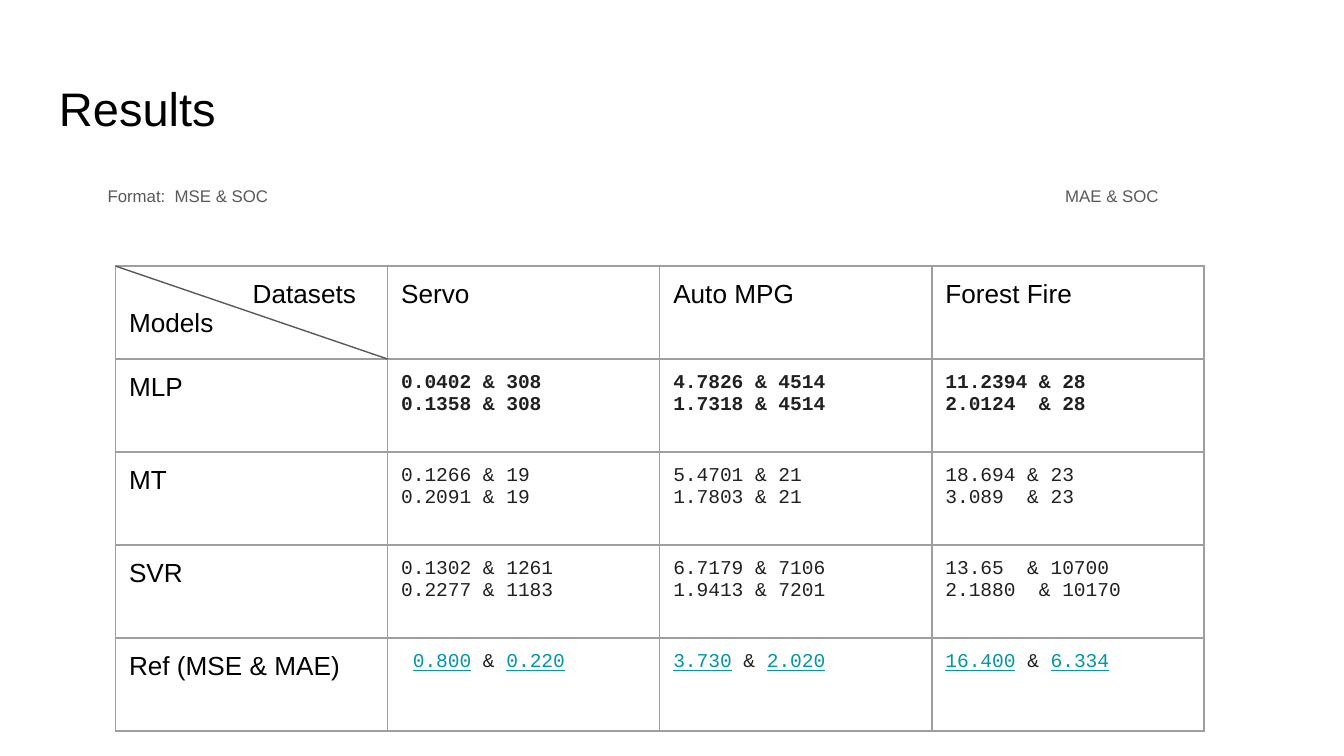
from dataclasses import dataclass
from lxml import etree
from pptx import Presentation
from pptx.dml.color import RGBColor
from pptx.enum.shapes import MSO_CONNECTOR
from pptx.enum.text import MSO_ANCHOR
from pptx.oxml.ns import qn
from pptx.util import Inches, Pt

LINE = MSO_CONNECTOR.STRAIGHT
MIDDLE = MSO_ANCHOR.MIDDLE


@dataclass(frozen=True)
class Theme:
    sans: str = "Arial"
    mono: str = "Courier New"
    black: str = "000000"
    gray: str = "595959"
    ink: str = "212121"
    link: str = "0097A7"
    grid: str = "9E9E9E"
    title: float = 25.2
    head: float = 14
    data: float = 10.5
    note: float = 9
    rule: float = 0.75
    pad: float = 0.1


THEME = Theme()
HEADS = ["Servo", "Auto MPG", "Forest Fire"]
ROWS = [
    ("MLP", ["0.0402 & 308\n0.1358 & 308", "4.7826 & 4514\n1.7318 & 4514",
             "11.2394 & 28\n2.0124  & 28"]),
    ("MT", ["0.1266 & 19\n0.2091 & 19", "5.4701 & 21\n1.7803 & 21",
            "18.694 & 23\n3.089  & 23"]),
    ("SVR", ["0.1302 & 1261\n0.2277 & 1183", "6.7179 & 7106\n1.9413 & 7201",
             "13.65  & 10700\n2.1880  & 10170"]),
]
REFS = [(" ", "0.800", "0.220"), ("", "3.730", "2.020"), ("", "16.400", "6.334")]
BEST = "MLP"


def style(font, size, color, name=THEME.sans, bold=False):
    font.size, font.name, font.bold = Pt(size), name, bold
    font.color.rgb = RGBColor.from_string(color)


def write(frame, text, *look):
    frame.text = text
    for para in frame.paragraphs:
        style(para.font, *look)


def add_text(slide, box, text, *look):
    frame = slide.shapes.add_textbox(*map(Inches, box)).text_frame
    frame.word_wrap = True
    frame.margin_left = frame.margin_right = Inches(THEME.pad)
    frame.margin_top = frame.margin_bottom = Inches(THEME.pad)
    write(frame, text, *look)
    return frame


def add_title(slide, box):
    frame = add_text(slide, box, "Results", THEME.title, THEME.black)
    frame.vertical_anchor = MIDDLE


def add_note(slide, box, indent, stop):
    frame = add_text(slide, box, "Format:  MSE & SOC\tMAE & SOC",
                     THEME.note, THEME.gray)
    frame.margin_left = Inches(indent)
    para = frame.paragraphs[0]
    para.line_spacing = 1.15
    tabs = etree.Element(qn("a:tabLst"))
    etree.SubElement(tabs, qn("a:tab"), pos=str(Inches(stop)), algn="r")
    para.font._element.addprevious(tabs)


def frame_cell(cell):
    cell.margin_left = cell.margin_right = Inches(THEME.pad)
    cell.margin_top = cell.margin_bottom = Inches(THEME.pad)
    props = cell._tc.get_or_add_tcPr()
    for side in ("lnL", "lnR", "lnT", "lnB"):
        edge = etree.SubElement(props, qn("a:" + side), w=str(Pt(THEME.rule)))
        fill = etree.SubElement(edge, qn("a:solidFill"))
        etree.SubElement(fill, qn("a:srgbClr"), val=THEME.grid)
    cell.fill.background()


def add_refs(cell, lead, mse, mae):
    para = cell.text_frame.paragraphs[0]
    for text, linked in ((lead, False), (mse, True), (" & ", False), (mae, True)):
        if text:
            run = para.add_run()
            run.text = text
            color = THEME.link if linked else THEME.ink
            style(run.font, THEME.data, color, THEME.mono)
            run.font.underline = linked


def add_split(slide, left, top, wide, high):
    line = slide.shapes.add_connector(
        LINE, *map(Inches, (left, top, left + wide, top + high)))
    line.line.color.rgb = RGBColor.from_string(THEME.gray)
    line.line.width = Pt(THEME.rule)
    etree.SubElement(line._element.spPr, qn("a:effectLst"))


def add_grid(slide, box):
    left, top, wide, high = box
    rows, cols = len(ROWS) + 2, len(HEADS) + 1
    table = slide.shapes.add_table(rows, cols, *map(Inches, box)).table
    table.first_row = table.horz_banding = False
    for col in table.columns:
        col.width = Inches(wide / cols)
    for row in table.rows:
        row.height = Inches(high / rows)
    for cell in table.iter_cells():
        frame_cell(cell)

    names = ["Datasets\nModels"] + [name for name, _ in ROWS] + ["Ref (MSE & MAE)"]
    for r, name in enumerate(names):
        write(table.cell(r, 0).text_frame, name, THEME.head, THEME.black)
    first = table.cell(0, 0).text_frame.paragraphs[0]
    first._p.get_or_add_pPr().set("marL", str(Inches(0.92)))

    for c, head in enumerate(HEADS, 1):
        write(table.cell(0, c).text_frame, head, THEME.head, THEME.black)
        for r, (name, data) in enumerate(ROWS, 1):
            write(table.cell(r, c).text_frame, data[c - 1], THEME.data,
                  THEME.ink, THEME.mono, name == BEST)
        add_refs(table.cell(rows - 1, c), *REFS[c - 1])
    add_split(slide, left, top, wide / cols, high / rows)


def main():
    deck = Presentation()
    deck.slide_width = Inches(10)
    deck.slide_height = deck.slide_width * 9 // 16
    slide = deck.slides.add_slide(deck.slide_layouts[6])
    add_title(slide, (0.34, 0.49, 9.32, 0.63))
    add_note(slide, (-0.3, 1.27, 9.32, 3.74), 1.1, 7.82)
    add_grid(slide, (0.86, 1.98, 8.1, 3.46))
    deck.save("out.pptx")


if __name__ == "__main__":
    main()
